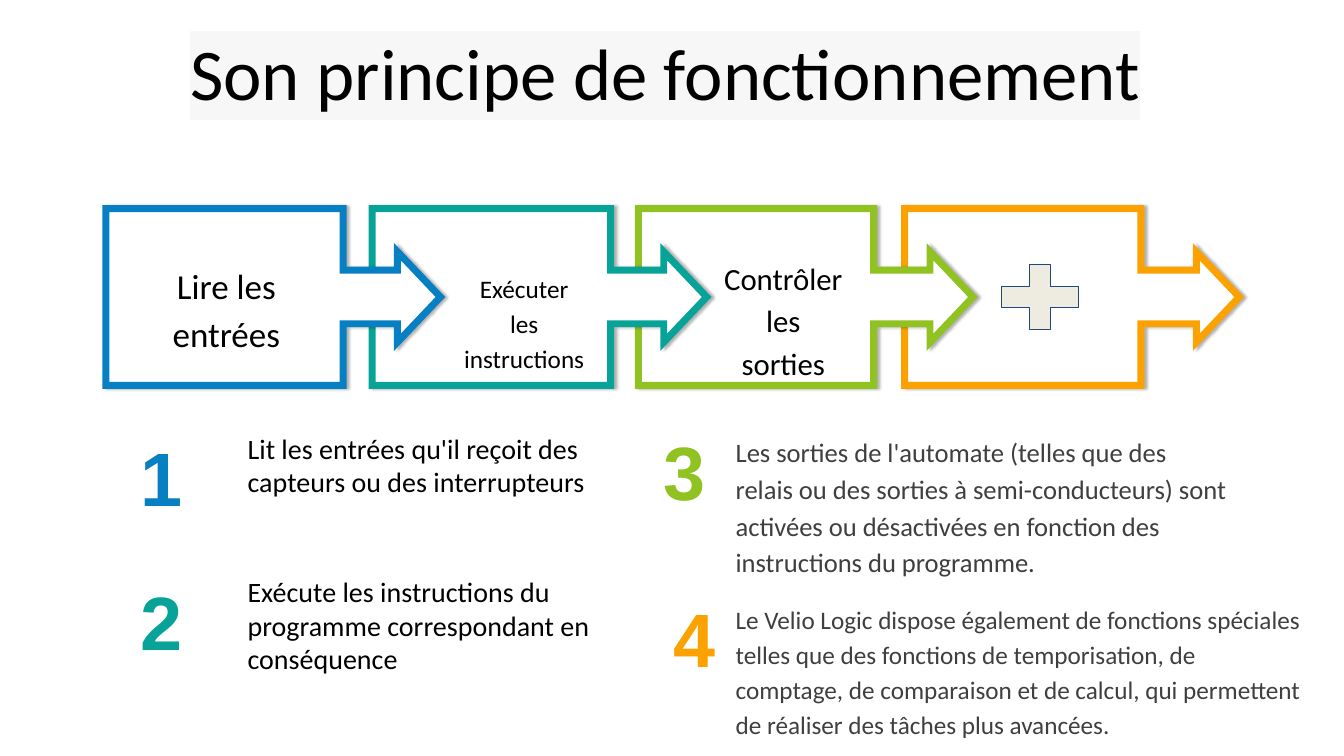
from lxml import etree
from pptx import Presentation
from pptx.dml.color import RGBColor
from pptx.enum.shapes import MSO_SHAPE
from pptx.enum.text import MSO_ANCHOR, PP_ALIGN
from pptx.oxml.ns import qn
from pptx.util import Cm, Pt

CALLOUT, PLUS = MSO_SHAPE.RIGHT_ARROW_CALLOUT, MSO_SHAPE.MATH_PLUS
LEFT, CENTER = PP_ALIGN.LEFT, PP_ALIGN.CENTER
MIDDLE = MSO_ANCHOR.MIDDLE

BLACK = RGBColor(0x00, 0x00, 0x00)
WHITE = RGBColor(0xFF, 0xFF, 0xFF)
GREY = RGBColor(0x3F, 0x3F, 0x3F)
BLUE = RGBColor(0x06, 0x80, 0xC3)
TEAL = RGBColor(0x07, 0xA3, 0x98)
GREEN = RGBColor(0x90, 0xC2, 0x21)
ORANGE = RGBColor(0xFB, 0xA2, 0x00)
CREAM = RGBColor(0xEE, 0xEC, 0xE1)
NAVY = RGBColor(0x1F, 0x49, 0x7D)
TITLE_HIGHLIGHT = RGBColor(0xF7, 0xF7, 0xF8)

prs = Presentation()
prs.slide_width, prs.slide_height = Cm(33.87), Cm(19.05)
s = prs.slides.add_slide(prs.slide_layouts[6])


def add_text(box, text, size, color=BLACK, font="Calibri", bold=False,
             align=LEFT, spacing=1.0, inset=0.13):
    """Add a one-paragraph text box; box is left, top, width, height in cm."""
    sp = s.shapes.add_textbox(*[Cm(v) for v in box])
    tf = sp.text_frame
    tf.word_wrap = True
    tf.margin_left = tf.margin_right = Cm(0.25)
    tf.margin_top = tf.margin_bottom = Cm(inset)
    p = tf.paragraphs[0]
    p.text = text
    p.alignment = align
    p.line_spacing = spacing
    f = p.runs[0].font
    f.name, f.size, f.bold = font, Pt(size), bold
    f.color.rgb = color
    return sp


def add_callout_shadow(sp):
    effects = etree.SubElement(sp._element.spPr, qn("a:effectLst"))
    shadow = etree.SubElement(effects, qn("a:outerShdw"), blurRad=str(Pt(2)),
                              dist=str(Pt(2)), dir="0", algn="l", rotWithShape="0")
    clr = etree.SubElement(shadow, qn("a:srgbClr"), val=str(BLACK))
    etree.SubElement(clr, qn("a:alpha"), val="29000")


# Title with highlighted text
title = add_text((0.68, 0.94, 32.16, 2.01), "Son principe de fonctionnement", 52,
                 align=CENTER, spacing=0.9)
title.text_frame.vertical_anchor = MIDDLE
title_font = title.text_frame.paragraphs[0].runs[0].font
highlight = etree.Element(qn("a:highlight"))
etree.SubElement(highlight, qn("a:srgbClr"), val=str(TITLE_HIGHLIGHT))
title_font._element.find(qn("a:solidFill")).addnext(highlight)

# Numbered explanations: number, colour, number position, text box, text, size, text style
EXPLANATIONS = [
    ("1", BLUE, (2.39, 10.74), (5.99, 10.74, 10.39, 2.21),
     "Lit les entrées qu'il reçoit des capteurs ou des interrupteurs",
     20, BLACK, 1.0),
    ("2", TEAL, (2.39, 14.35), (5.99, 14.35, 10.39, 2.57),
     "Exécute les instructions du programme correspondant en conséquence",
     20, BLACK, 1.0),
    ("3", GREEN, (15.57, 10.59), (18.29, 10.74, 12.9, 3.12),
     "Les sorties de l'automate (telles que des relais ou des sorties à "
     "semi-conducteurs) sont activées ou désactivées en fonction des "
     "instructions du programme.",
     19, GREY, 1.15),
    ("4", ORANGE, (15.82, 14.78), (18.29, 14.99, 14.76, 3.71),
     "Le Velio Logic dispose également de fonctions spéciales telles que des "
     "fonctions de temporisation, de comptage, de comparaison et de calcul, "
     "qui permettent de réaliser des tâches plus avancées.",
     18, GREY, 1.15),
]
for number, color, pos, box, text, size, text_color, spacing in EXPLANATIONS:
    add_text((*pos, 3.35, 2.57), number, 54, color, "Arial", True, CENTER)
    add_text(box, text, size, text_color, spacing=spacing)

# Process chain: each arrow overlaps the next step, so the last step goes first
STEPS = [(BLUE, 0.709), (TEAL, 0.713), (GREEN, 0.703), (ORANGE, 0.706)]
for i, (color, body) in reversed(list(enumerate(STEPS))):
    sp = s.shapes.add_shape(CALLOUT, Cm(2.67 + 6.71 * i), Cm(5.26), Cm(8.43), Cm(4.45))
    for j, value in enumerate((0.303, 0.256, 0.243, body)):
        sp.adjustments[j] = value
    sp.fill.solid()
    sp.fill.fore_color.rgb = WHITE
    sp.line.color.rgb = color
    sp.line.width = Pt(5)
    etree.SubElement(sp._element.spPr.find(qn("a:ln")), qn("a:miter"), lim="800000")
    add_callout_shadow(sp)

STEP_LABELS = [
    ((3.56, 6.25, 4.29, 3.12), "Lire les entrées", 25),
    ((11.43, 6.53, 3.56, 3.3), "Exécuter les instructions", 18),
    ((17.96, 6.15, 3.56, 3.71), "Contrôler les sorties", 22),
]
for box, text, size in STEP_LABELS:
    add_text(box, text, size, align=CENTER, spacing=1.15, inset=0.25)

plus = s.shapes.add_shape(PLUS, Cm(24.89), Cm(6.38), Cm(2.64), Cm(2.21))
plus.adjustments[0] = 0.235
plus.shadow.inherit = False
plus.fill.solid()
plus.fill.fore_color.rgb = CREAM
plus.line.color.rgb = NAVY
plus.line.width = Pt(0.75)

prs.save("out.pptx")
